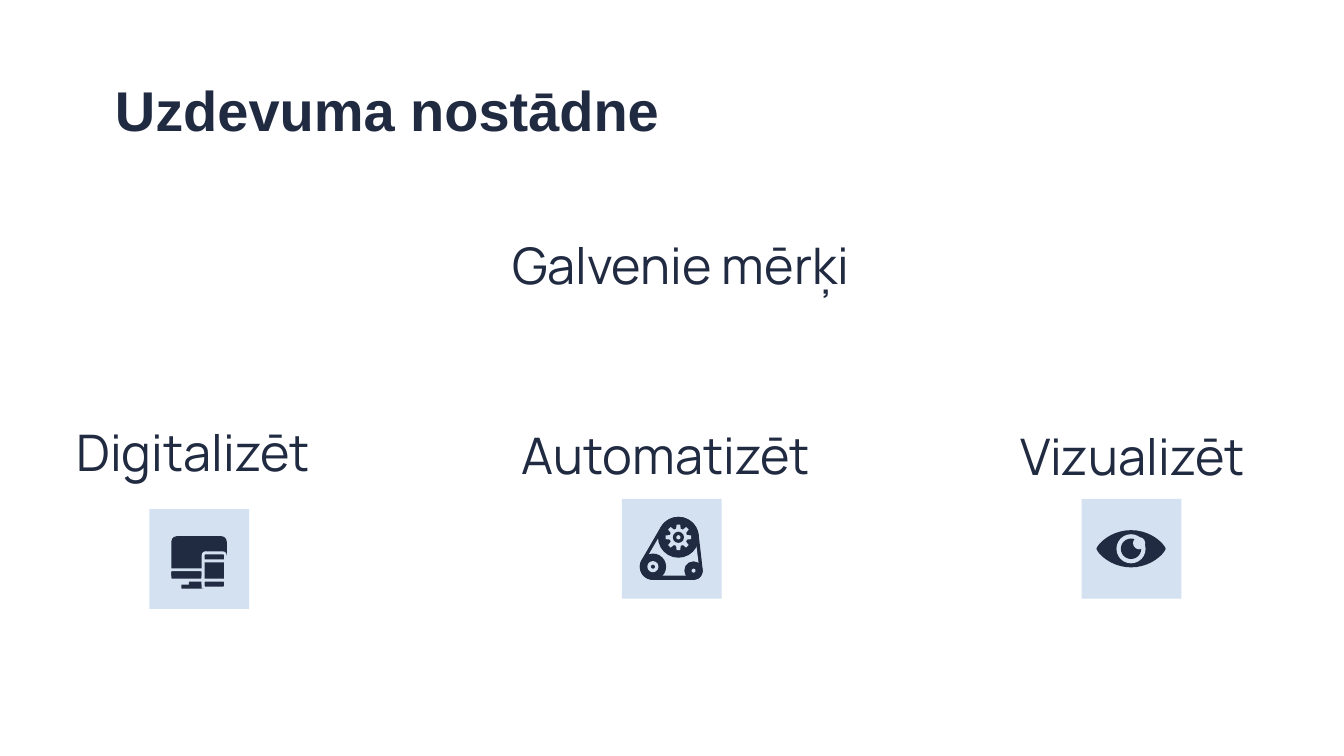
from math import cos, pi, radians, sin

from pptx import Presentation
from pptx.dml.color import RGBColor
from pptx.enum.shapes import MSO_SHAPE
from pptx.enum.text import MSO_ANCHOR, PP_ALIGN
from pptx.util import Pt

NAVY = RGBColor(0x20, 0x2A, 0x41)
PALE = RGBColor(0xD3, 0xE1, 0xF1)
RECT, OVAL = MSO_SHAPE.RECTANGLE, MSO_SHAPE.OVAL
ROUND, DOME = MSO_SHAPE.ROUNDED_RECTANGLE, MSO_SHAPE.ROUND_2_SAME_RECTANGLE
TOP, MIDDLE = MSO_ANCHOR.TOP, MSO_ANCHOR.MIDDLE
LEFT, CENTER = PP_ALIGN.LEFT, PP_ALIGN.CENTER
CARD = 71.3

deck = Presentation()
deck.slide_width, deck.slide_height = Pt(960), Pt(540)
slide = deck.slides.add_slide(deck.slide_layouts[6])
shapes = slide.shapes


def draw(kind, box, color):
    """Add a plain filled preset; box is left, top, width, height in points."""
    shape = shapes.add_shape(kind, *map(Pt, box))
    shape.shadow.inherit = False
    shape.fill.solid()
    shape.fill.fore_color.rgb = color
    shape.line.fill.background()


def trace(points, color):
    """Add a closed, filled outline through points given in points."""
    spots = [(Pt(x), Pt(y)) for x, y in points]
    pen = shapes.build_freeform(*spots[0])
    pen.add_line_segments(spots[1:])
    shape = pen.convert_to_shape()
    shape.shadow.inherit = False
    shape.fill.solid()
    shape.fill.fore_color.rgb = color
    shape.line.fill.background()


# Text: wording, box, font format, anchor, alignment, line spacing, indents
title = {"name": "Arial", "size": Pt(40), "bold": True}
label = {"name": "Manrope", "size": Pt(36), "bold": False}
texts = [
    ("Uzdevuma nostādne", (75, 46.8, 810, 60.5), title, TOP, LEFT, 1, 0, 0),
    ("Digitalizēt", (35.3, 287.3, 214.6, 48.2), label, MIDDLE, LEFT, 1.5, 12.2, 0),
    ("Galvenie mērķi", (329, 156.2, 302.4, 65.5), label, MIDDLE, CENTER, 1, 36, -24),
    ("Automatizēt", (353.5, 287.3, 252.7, 53.3), label, MIDDLE, LEFT, 1.5, 12.2, 0),
    ("Vizualizēt", (709.9, 287.3, 195.8, 54.7), label, MIDDLE, LEFT, 1.5, 12.2, 0),
]
for words, box, style, anchor, align, space, margin, indent in texts:
    frame = shapes.add_textbox(*map(Pt, box)).text_frame
    form = {"word_wrap": True, "vertical_anchor": anchor}
    form.update(dict.fromkeys(
        ("margin_left", "margin_top", "margin_right", "margin_bottom"), Pt(7.2)))
    for key, value in form.items():
        setattr(frame, key, value)
    line = frame.paragraphs[0]
    line.alignment, line.line_spacing = align, float(space)
    props = line._p.get_or_add_pPr()
    props.set("marL", str(Pt(margin)))
    props.set("indent", str(Pt(indent)))
    run = line.add_run()
    run.text = words
    for key, value in style.items():
        setattr(run.font, key, value)
    run.font.color.rgb = NAVY

for left, top in ((444.2, 356.4), (772.6, 356.4), (106.6, 363.6)):
    draw(RECT, (left, top, CARD, CARD), PALE)

# Belt drive: each wheel is centre x, centre y, radius, first and last angle
wheels = [(484.6, 383.8, 14.6, 210, 354), (495.4, 407.6, 6.6, -6, 90),
          (466.4, 404.8, 9.4, 90, 210)]
belt = []
for x, y, size, first, last in wheels:
    for step in range(13):
        turn = radians(first + (last - first) * step / 12)
        belt.append((x + size * cos(turn), y + size * sin(turn)))
trace(belt, NAVY)
trace([(470.2, 384.5), (497.5, 390), (499, 402), (498, 411.2),
       (466, 411.2), (463.5, 396)], PALE)
for x, y, size, *_ in wheels:
    draw(OVAL, (x - size, y - size, 2 * size, 2 * size), NAVY)

# Gear with eight teeth on the top wheel
hub_x, hub_y = wheels[0][:2]
gear = []
for tooth in range(8):
    for size, shift in ((6.3, -15), (9.2, -8), (9.2, 8), (6.3, 15)):
        turn = radians(45 * tooth + shift)
        gear.append((hub_x + size * cos(turn), hub_y + size * sin(turn)))
trace(gear, PALE)

# Round parts: wheel hubs, then iris, pupil and glint on the eye
eye_x, eye_y = 807.9, 392
lid = [(eye_x - 24.7 * cos(pi * step / 20), eye_y - 13.3 * sin(pi * step / 20) ** 1.5)
       for step in range(21)]
trace(lid + [(x, 2 * eye_y - y) for x, y in lid[-2:0:-1]], NAVY)
rings = [
    (hub_x, hub_y, 4, NAVY), (hub_x, hub_y, 1.5, PALE),
    (466.4, 404.8, 4, PALE), (466.4, 404.8, 1.4, NAVY), (495.4, 407.6, 1.4, PALE),
    (eye_x, eye_y, 10.4, PALE), (eye_x, eye_y, 7.3, NAVY),
    (eye_x + 5.8, eye_y - 4, 4.4, PALE),
]
for x, y, size, color in rings:
    draw(OVAL, (x - size, y - size, 2 * size, 2 * size), color)

# Screen and phone
parts = [
    (DOME, (122.4, 383, 39.6, 23), NAVY),
    (RECT, (122.4, 408.2, 21.6, 3), NAVY),
    (ROUND, (122.4, 408.2, 21.6, 5.2), NAVY),
    (RECT, (135, 415.4, 9, 3), NAVY),
    (ROUND, (129.6, 417.6, 16, 2.9), NAVY),
    (DOME, (144, 393.8, 18, 26.7), PALE),
    (DOME, (146.2, 396, 13.7, 3.6), NAVY),
    (RECT, (146.2, 401.8, 13.7, 11.5), NAVY),
    (ROUND, (146.2, 415.4, 13.7, 3.6), NAVY),
]
for part in parts:
    draw(*part)

deck.save("out.pptx")
